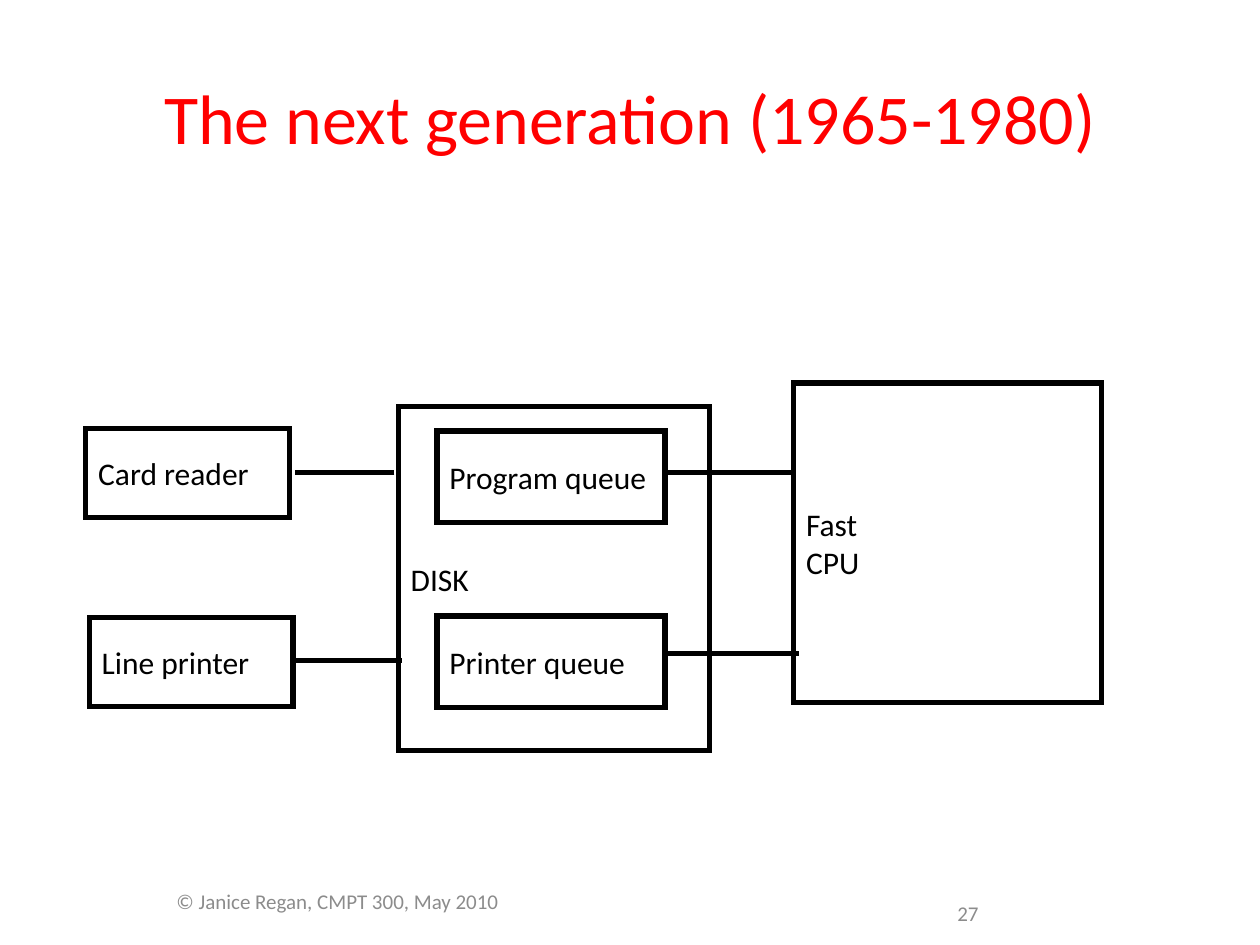
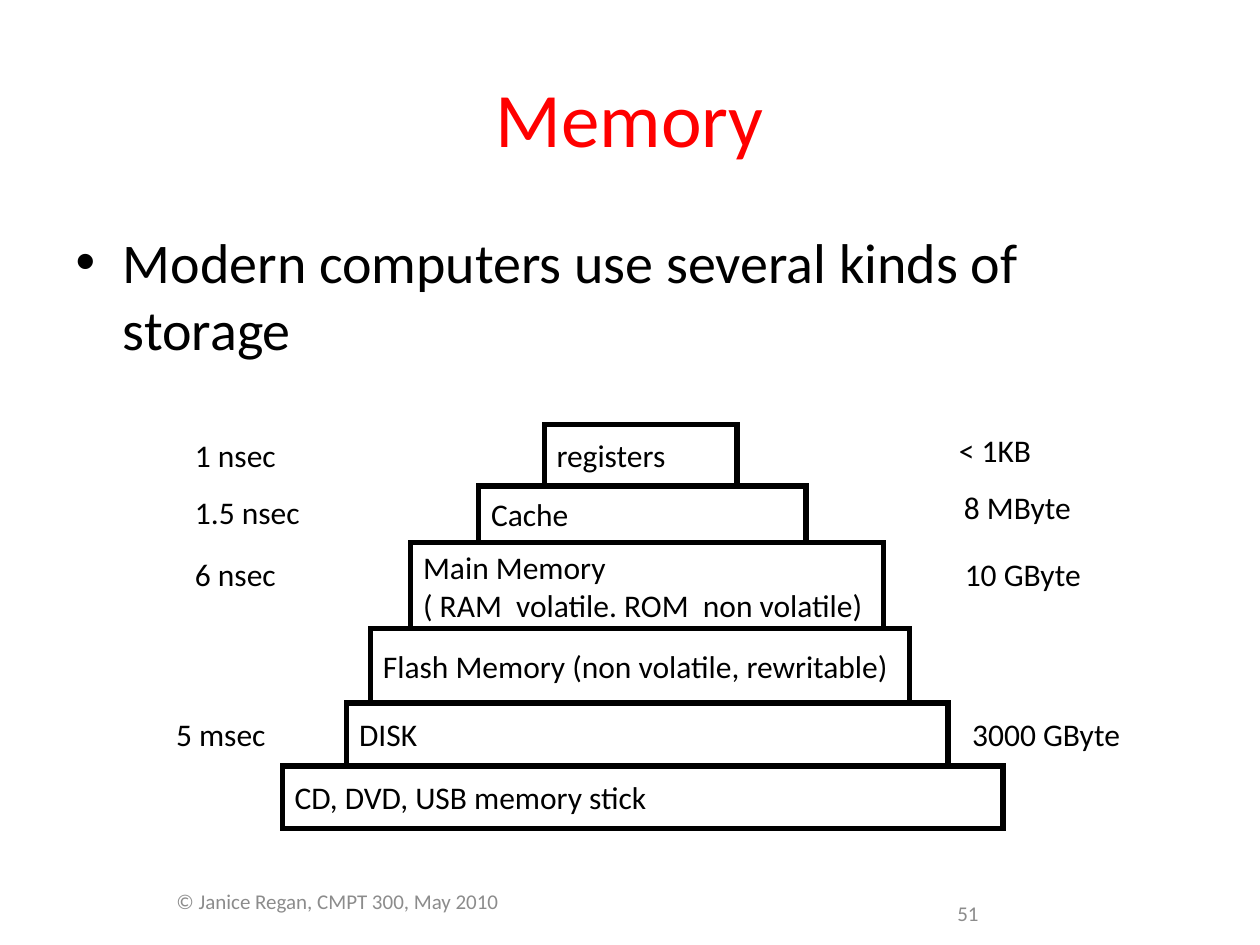
"""Build two lecture slides: a spooling system of 1965-1980 and the memory hierarchy."""
from lxml.etree import SubElement
from pptx import Presentation
from pptx.dml.color import RGBColor
from pptx.enum.shapes import MSO_CONNECTOR, MSO_SHAPE
from pptx.enum.text import MSO_ANCHOR, PP_ALIGN
from pptx.oxml.ns import qn
from pptx.util import Cm, Pt

COLORS = {"title": "FF0000", "text": "000000", "line": "000000", "box": "FFFFFF", "footer": "8C8C8C"}
FONT = "Calibri"
FOOTER = "© Janice Regan, CMPT 300, May 2010"
FOOTER_AREA = (0.71, 17.78, 12.19, 1.27)
NUMBER_AREA = (19.05, 17.78, 5.28, 1.27)
TITLE_AREA = (1.27, 0.76, 22.86, 3.18)
BODY_AREA = (1.27, 4.45, 22.86, 12.57)

GENERATION = {"title": "The next generation (1965-1980)", "title_size": 40, "number": "27"}
DEVICE_SIZE = (4.11, 1.8)
QUEUE_SIZE = (4.6, 1.85)
SYSTEM = [
    ("box", "Card reader", (1.73, 8.64, *DEVICE_SIZE)),
    ("link", 7.95, 5.94, 9.53),
    ("box", "DISK", (8.03, 8.2, 6.27, 6.93)),
    ("box", "Line printer", (1.8, 12.45, *DEVICE_SIZE)),
    ("link", 8.1, 5.97, 13.31),
    ("box", "Program queue", (8.81, 8.69, *QUEUE_SIZE)),
    ("link", 13.41, 16.54, 9.53),
    ("box", "Fast\nCPU", (16, 7.72, 6.2, 6.45)),
    ("box", "Printer queue", (8.81, 12.42, *QUEUE_SIZE)),
    ("link", 16.1, 13.41, 13.18),
]

MEMORY = {"title": "Memory", "title_size": 44, "number": "51"}
MEMORY_POINT = "Modern computers use several kinds of storage"
PYRAMID_TOP = 8.56
TIERS = [
    ("registers", 10.97, 3.89, 1.24),
    ("Cache", 9.65, 6.6, 1.14),
    ("Main Memory\n( RAM  volatile. ROM  non volatile)", 8.28, 9.53, 1.73),
    ("Flash Memory (non volatile, rewritable)", 7.47, 10.87, 1.5),
    ("DISK", 6.99, 12.12, 1.27),
    ("CD, DVD, USB memory stick", 5.69, 14.53, 1.27),
]
LABEL_SIZE = (3.7, 1.24)
ACCESS_TIMES = [
    ("1 nsec", 3.68, 8.56),
    ("1.5 nsec", 3.68, 9.7),
    ("6 nsec", 3.68, 10.95),
    ("5 msec", 3.3, 14.17),
]
CAPACITIES = [
    ("< 1KB", 19.08, 8.45),
    ("8 MByte", 19.18, 9.6),
    ("10 GByte", 19.2, 10.95),
    ("3000 GByte", 19.35, 14.17),
]


def color(role):
    return RGBColor.from_string(COLORS[role])


def write(shape, text, size=18, role="text", align=PP_ALIGN.LEFT, anchor=MSO_ANCHOR.MIDDLE, wrap=False):
    frame = shape.text_frame
    frame.text = text
    frame.word_wrap = wrap
    frame.vertical_anchor = anchor
    for paragraph in frame.paragraphs:
        paragraph.alignment = align
        paragraph.font.name = FONT
        paragraph.font.size = Pt(size)
        paragraph.font.color.rgb = color(role)


def place(shape, area):
    shape.left, shape.top, shape.width, shape.height = map(Cm, area)


def add_label(slide, text, area, **style):
    write(slide.shapes.add_textbox(*map(Cm, area)), text, **style)


def draw_line(line):
    line.color.rgb = color("line")
    line.width = Pt(3)


def add_box(slide, text, area):
    box = slide.shapes.add_shape(MSO_SHAPE.RECTANGLE, *map(Cm, area))
    box.shadow.inherit = False
    box.fill.solid()
    box.fill.fore_color.rgb = color("box")
    draw_line(box.line)
    SubElement(box._element.spPr.find(qn("a:ln")), qn("a:miter"), lim="800000")
    write(box, text)


def add_link(slide, start, end, height):
    link = slide.shapes.add_connector(MSO_CONNECTOR.STRAIGHT, Cm(start), Cm(height), Cm(end), Cm(height))
    draw_line(link.line)
    SubElement(link._element.spPr, qn("a:effectLst"))


def add_slide(deck, layout, heading):
    slide = deck.slides.add_slide(deck.slide_layouts.get_by_name(layout))
    add_label(slide, FOOTER, FOOTER_AREA, size=12, role="footer",
              align=PP_ALIGN.CENTER, anchor=MSO_ANCHOR.TOP, wrap=True)
    add_label(slide, heading["number"], NUMBER_AREA, size=12, role="footer", wrap=True)
    title = slide.shapes.title
    place(title, TITLE_AREA)
    write(title, heading["title"], heading["title_size"], "title", PP_ALIGN.CENTER, wrap=True)
    return slide


def add_generation_slide(deck):
    slide = add_slide(deck, "Title Only", GENERATION)
    adders = {"box": add_box, "link": add_link}
    for kind, *details in SYSTEM:
        adders[kind](slide, *details)


def add_memory_slide(deck):
    slide = add_slide(deck, "Title and Content", MEMORY)
    body = slide.placeholders[1]
    place(body, BODY_AREA)
    write(body, MEMORY_POINT, 32, anchor=MSO_ANCHOR.TOP, wrap=True)
    top = PYRAMID_TOP
    for text, left, width, height in TIERS:
        add_box(slide, text, (left, top, width, height))
        top += height
    for text, left, label_top in ACCESS_TIMES + CAPACITIES:
        add_label(slide, text, (left, label_top, *LABEL_SIZE))


def main():
    deck = Presentation()
    deck.slide_width, deck.slide_height = Cm(25.4), Cm(19.05)
    add_generation_slide(deck)
    add_memory_slide(deck)
    deck.save("out.pptx")


if __name__ == "__main__":
    main()
